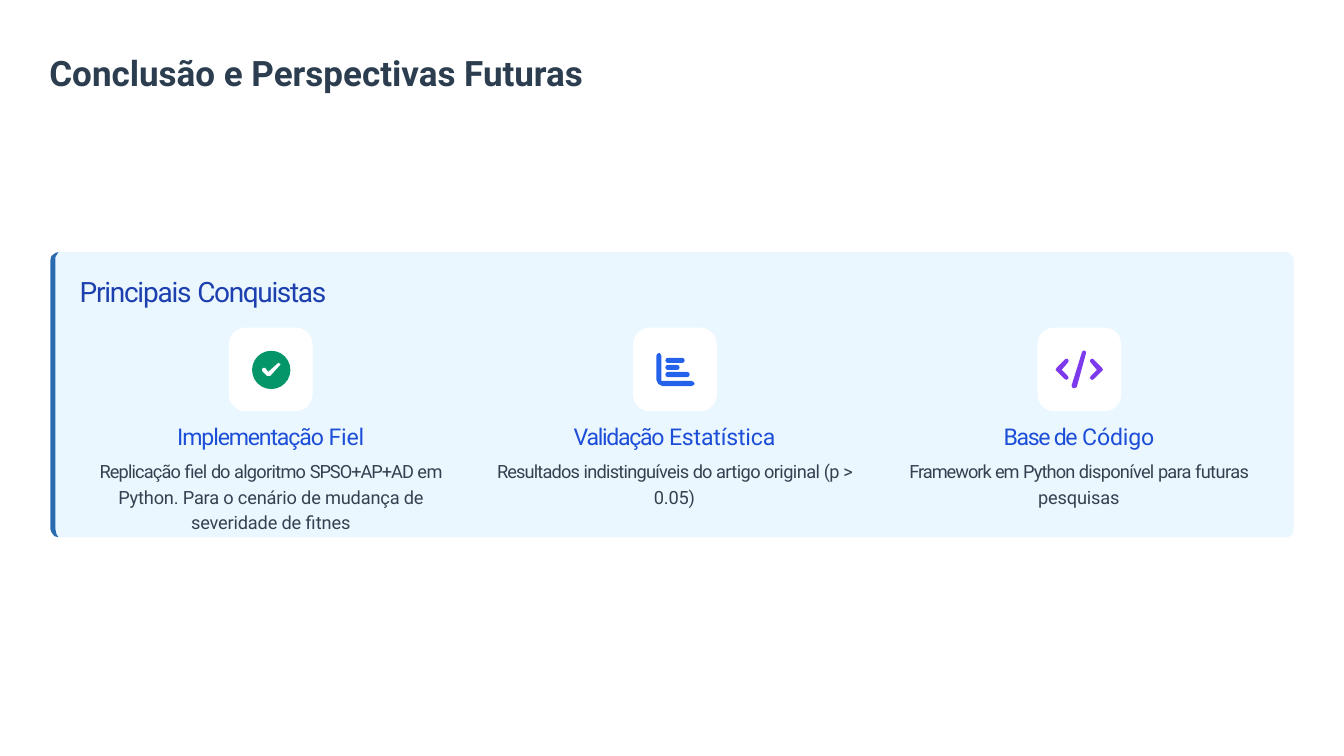
from pptx import Presentation
from pptx.dml.color import RGBColor
from pptx.enum.shapes import MSO_SHAPE as Shape
from pptx.enum.text import MSO_AUTO_SIZE as AutoSize, PP_ALIGN as Align
from pptx.util import Pt

PX = 9144  # one px is a hundredth of an inch
WHITE = RGBColor(0xFF, 0xFF, 0xFF)
SLATE = RGBColor(0x2B, 0x3D, 0x4F)
GREY = RGBColor(0x37, 0x40, 0x50)
NAVY = RGBColor(0x1D, 0x40, 0xAF)
BLUE = RGBColor(0x1C, 0x4E, 0xD8)
PANEL = RGBColor(0xEB, 0xF7, 0xFF)
ACCENT = RGBColor(0x2A, 0x6B, 0xB0)
GREEN = RGBColor(0x04, 0x95, 0x69)
CHART_BLUE = RGBColor(0x25, 0x62, 0xEB)
VIOLET = RGBColor(0x7C, 0x3A, 0xEC)


def write(paragraph, runs, size, color, bold=False, align=Align.LEFT,
          before=0, line=None):
    """Fill a paragraph with (text, letter spacing in points) runs."""
    paragraph.alignment = align
    paragraph.space_before = Pt(before)
    if line:
        paragraph.line_spacing = line
    for text, spacing in runs:
        run = paragraph.add_run()
        run.text = text
        font = run.font
        font.name, font.size, font.bold = "Roboto", Pt(size), bold
        font.color.rgb = color
        if spacing:
            run._r.get_or_add_rPr().set("spc", str(round(spacing * 100)))


class Board:
    def __init__(self, slide):
        self.slide = slide

    def paint(self, shape, color):
        shape.shadow.inherit = False
        shape.fill.solid()
        shape.fill.fore_color.rgb = color
        shape.line.fill.background()

    def preset(self, kind, left, top, width, height, color, corner=None):
        shape = self.slide.shapes.add_shape(
            kind, left * PX, top * PX, width * PX, height * PX)
        if corner is not None:
            shape.adjustments[0] = corner
        self.paint(shape, color)

    def outline(self, color, *contours):
        builder = self.slide.shapes.build_freeform(*contours[0][0], scale=PX)
        builder.add_line_segments(contours[0][1:], close=True)
        for contour in contours[1:]:
            builder.move_to(*contour[0])
            builder.add_line_segments(contour[1:], close=True)
        self.paint(builder.convert_to_shape(), color)

    def text_box(self, left, top, width, height, inset):
        box = self.slide.shapes.add_textbox(
            left * PX, top * PX, width * PX, height * PX)
        frame = box.text_frame
        frame.word_wrap = True
        frame.auto_size = AutoSize.SHAPE_TO_FIT_TEXT
        frame.margin_left = frame.margin_right = frame.margin_bottom = 0
        frame.margin_top = inset * PX
        return frame

    def card(self, tile_left, text_left, width, height, heading, body):
        self.preset(Shape.ROUNDED_RECTANGLE, tile_left, 325, 83, 83, WHITE, 0.2)
        frame = self.text_box(text_left, 405, width, height, 14)
        write(frame.paragraphs[0], heading, 16.5, BLUE, align=Align.CENTER)
        write(frame.add_paragraph(), body, 13, GREY, align=Align.CENTER,
              before=5.3, line=1.15)

    def check_icon(self):
        self.preset(Shape.OVAL, 250, 348, 38, 38, GREEN)
        self.outline(WHITE, [
            (260, 366), (261, 365), (263, 365), (266, 369), (275, 361),
            (276, 360), (278, 361), (278, 362), (277, 363), (268, 373),
            (267, 373), (265, 373), (260, 368)])

    def chart_icon(self):
        self.outline(CHART_BLUE, [
            (657, 383), (653, 381), (651, 377), (651, 353), (652, 351),
            (654, 350), (655, 351), (656, 353), (656, 378), (686, 378),
            (688, 379), (689, 381), (688, 382), (686, 383)])
        for row, width in enumerate((19, 14, 24)):
            self.preset(Shape.ROUNDED_RECTANGLE, 660, 355 + 7 * row, width, 5,
                        CHART_BLUE, 0.5)

    def code_icon(self):
        slash = [(1066, 385), (1064, 385), (1063, 383), (1063, 382),
                 (1073, 350), (1074, 348), (1076, 348), (1077, 349),
                 (1077, 351), (1068, 384)]
        right = [(1083, 377), (1082, 376), (1081, 375), (1082, 373),
                 (1088, 367), (1082, 360), (1081, 358), (1082, 356),
                 (1084, 356), (1085, 357), (1093, 365), (1094, 367),
                 (1093, 368), (1085, 376)]
        left = [(2141 - x, y) for x, y in right]
        self.outline(VIOLET, slash, right, left)


def main():
    presentation = Presentation()
    presentation.slide_width, presentation.slide_height = 1333 * PX, 750 * PX
    slide = presentation.slides.add_slide(presentation.slide_layouts[6])
    board = Board(slide)

    # Title
    frame = board.text_box(49, 49, 650, 44, 2)
    write(frame.paragraphs[0], [("Conclusão e Perspectivas Futuras", 0)],
          25, SLATE, bold=True)

    # Panel with its accent edge
    board.outline(PANEL, [
        (58, 533), (54, 530), (53, 525), (53, 258), (54, 253), (58, 250),
        (1276, 250), (1280, 252), (1283, 256), (1283, 525), (1282, 530),
        (1278, 533)])
    board.outline(ACCENT, [
        (58, 533), (54, 532), (51, 528), (50, 525), (50, 258), (51, 254),
        (55, 251), (58, 250), (55, 255), (55, 525), (56, 530)])
    frame = board.text_box(79, 271, 247, 36, 1)
    write(frame.paragraphs[0], [("Principais ", -0.9), ("Conquistas", -1)],
          20, NAVY)

    # Achievements: text left, width, height, heading, body, icon
    achievements = [
        (96, 345, 123, [("Implementação ", -0.8), ("Fiel", -0.1)],
         [("Replicação ", -0.6), ("fiel ", -0.5), ("do ", -0.7),
          ("algoritmo ", -0.5), ("SPSO+AP+AD ", -0.7), ("em ", -0.4),
          ("Python. Para o cenário de mudança de severidade de fitnes", -0.1)],
         board.check_icon),
        (490, 358, 101, [("Validação ", -0.9), ("Estatística", -0.1)],
         [("Resultados ", -0.6), ("indistinguíveis ", -0.5), ("do ", -0.7),
          ("artigo original ", -0.4), ("(p ", -0.5), ("> ", -0.6),
          ("0.05)", -0.1)],
         board.chart_icon),
        (899, 342, 101, [("Base de ", -0.9), ("Código", -0.1)],
         [("Framework ", -0.7), ("em ", -0.8), ("Python ", -0.6),
          ("disponível ", -0.5), ("para ", -0.6), ("futuras ", -0.4),
          ("pesquisas", -0.1)],
         board.code_icon),
    ]
    for column, (left, width, height, heading, body, icon) in enumerate(achievements):
        board.card(227 + 401 * column, left, width, height, heading, body)
        icon()

    presentation.save("out.pptx")


if __name__ == "__main__":
    main()
